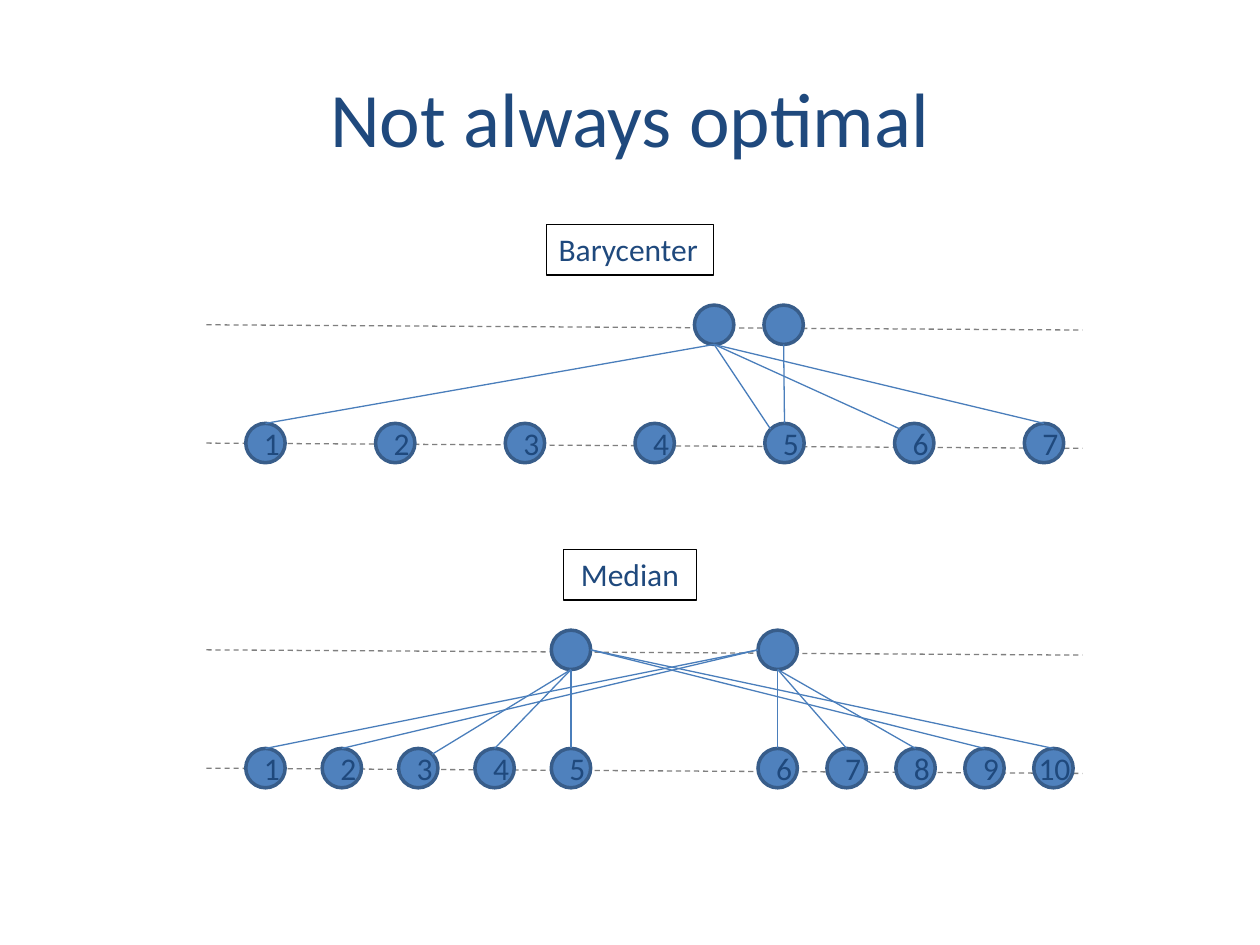
from dataclasses import dataclass
from math import sqrt

from pptx import Presentation
from pptx.dml.color import RGBColor
from pptx.enum.dml import MSO_LINE
from pptx.enum.shapes import MSO_CONNECTOR, MSO_SHAPE
from pptx.enum.text import MSO_ANCHOR, PP_ALIGN
from pptx.oxml.ns import qn
from pptx.util import Pt


@dataclass(frozen=True)
class Theme:
    font: str = "Calibri"
    title_size: float = 44
    text_size: float = 18
    text: str = "1F497D"
    node: str = "4F81BD"
    node_line: str = "385D8A"
    edge: str = "4A7EBB"
    guide: str = "7F7F7F"
    frame: str = "000000"
    thin: float = 0.75
    thick: float = 2


THEME = Theme()
TITLE = "Not always optimal"
PANELS = [
    {
        "label": "Barycenter", "label_width": 95.75, "label_align": PP_ALIGN.LEFT,
        "upper": [408.1, 447.8],
        "lower_runs": [(151.7, 74.15, 7)],
        "edges": [
            (0, "bottom", 1, "top"), (0, "bottom", 6, "top_left"),
            (0, "bottom", 7, "top"), (0, "bottom", 5, "top_left"),
            (1, "bottom", 5, "top"),
        ],
    },
    {
        "label": "Median", "label_width": 76.3, "label_align": PP_ALIGN.CENTER,
        "upper": [326.3, 444.4],
        "lower_runs": [(151.7, 43.65, 5), (444.4, 39.4, 5)],
        "edges": [
            (0, "bottom", 5, "top"), (0, "bottom", 4, "top"),
            (0, "right", 9, "top"), (0, "right", 10, "top"),
            (0, "bottom", 3, "top_right"),
            (1, "left", 1, "top"), (1, "left", 2, "top"),
            (1, "bottom", 6, "top"), (1, "bottom", 7, "top"),
            (1, "bottom", 8, "top"),
        ],
    },
]

SLIDE_WIDTH, SLIDE_HEIGHT = 720, 540
PANEL_TOP, PANEL_STEP = 128.1, 185.75
LABEL_HEIGHT = 29.1
UPPER_DROP, LOWER_DROP = 57.5, 125.1
GUIDE_LEFT, GUIDE_RIGHT, GUIDE_FALL = 118, 618.5, 3
RADIUS = 11.25
DIAGONAL = 1 / sqrt(2)
SITES = {
    "top": (0, -1), "bottom": (0, 1), "left": (-1, 0), "right": (1, 0),
    "top_left": (-DIAGONAL, -DIAGONAL), "top_right": (DIAGONAL, -DIAGONAL),
}


def color(value):
    return RGBColor.from_string(value)


def write(shape, text, size, align, anchor):
    frame = shape.text_frame
    frame.word_wrap = True
    frame.vertical_anchor = anchor
    para = frame.paragraphs[0]
    para.alignment = align
    span = para.add_run()
    span.text = text
    span.font.name = THEME.font
    span.font.size = Pt(size)
    span.font.color.rgb = color(THEME.text)


def add_text(page, text, left, top, width, height, size=THEME.text_size,
             align=PP_ALIGN.LEFT, anchor=MSO_ANCHOR.TOP):
    box = page.shapes.add_textbox(Pt(left), Pt(top), Pt(width), Pt(height))
    write(box, text, size, align, anchor)
    return box


def add_line(page, start, end, stroke, dash=None):
    line = page.shapes.add_connector(
        MSO_CONNECTOR.STRAIGHT, *(Pt(value) for value in (*start, *end)))
    line.line.color.rgb = color(stroke)
    line.line.width = Pt(THEME.thin)
    if dash:
        line.line.dash_style = dash
    properties = line._element.spPr
    properties.append(properties.makeelement(qn("a:effectLst"), {}))


def add_node(page, center, text=""):
    x, y = center
    node = page.shapes.add_shape(
        MSO_SHAPE.OVAL, Pt(x - RADIUS), Pt(y - RADIUS), Pt(2 * RADIUS), Pt(2 * RADIUS))
    node.shadow.inherit = False
    node.fill.solid()
    node.fill.fore_color.rgb = color(THEME.node)
    node.line.color.rgb = color(THEME.node_line)
    node.line.width = Pt(THEME.thick)
    if len(text) == 1:
        write(node, text, THEME.text_size, PP_ALIGN.CENTER, MSO_ANCHOR.MIDDLE)
    elif text:
        add_text(page, text, x - 15.6, y - 14.7, 50, LABEL_HEIGHT)


def site(center, name):
    return tuple(c + RADIUS * d for c, d in zip(center, SITES[name]))


def add_panel(page, panel, top):
    upper_y, lower_y = top + UPPER_DROP, top + LOWER_DROP
    for y in (upper_y, lower_y):
        add_line(page, (GUIDE_LEFT, y), (GUIDE_RIGHT, y + GUIDE_FALL),
                 THEME.guide, MSO_LINE.DASH)

    upper = [(x, upper_y) for x in panel["upper"]]
    lower = [(first + step * index, lower_y)
             for first, step, count in panel["lower_runs"] for index in range(count)]
    for center in upper:
        add_node(page, center)
    for number, center in enumerate(lower, 1):
        add_node(page, center, str(number))

    for source, source_site, target, target_site in panel["edges"]:
        add_line(page, site(upper[source], source_site),
                 site(lower[target - 1], target_site), THEME.edge)

    width = panel["label_width"]
    label = add_text(page, panel["label"], (SLIDE_WIDTH - width) / 2, top,
                     width, LABEL_HEIGHT, align=panel["label_align"])
    label.line.color.rgb = color(THEME.frame)
    label.line.width = Pt(THEME.thin)


def main():
    deck = Presentation()
    deck.slide_width, deck.slide_height = Pt(SLIDE_WIDTH), Pt(SLIDE_HEIGHT)
    page = deck.slides.add_slide(deck.slide_layouts[6])
    add_text(page, TITLE, 36, 21.6, 648, 90, THEME.title_size,
             PP_ALIGN.CENTER, MSO_ANCHOR.MIDDLE)
    for index, panel in enumerate(PANELS):
        add_panel(page, panel, PANEL_TOP + index * PANEL_STEP)
    deck.save("out.pptx")


if __name__ == "__main__":
    main()
